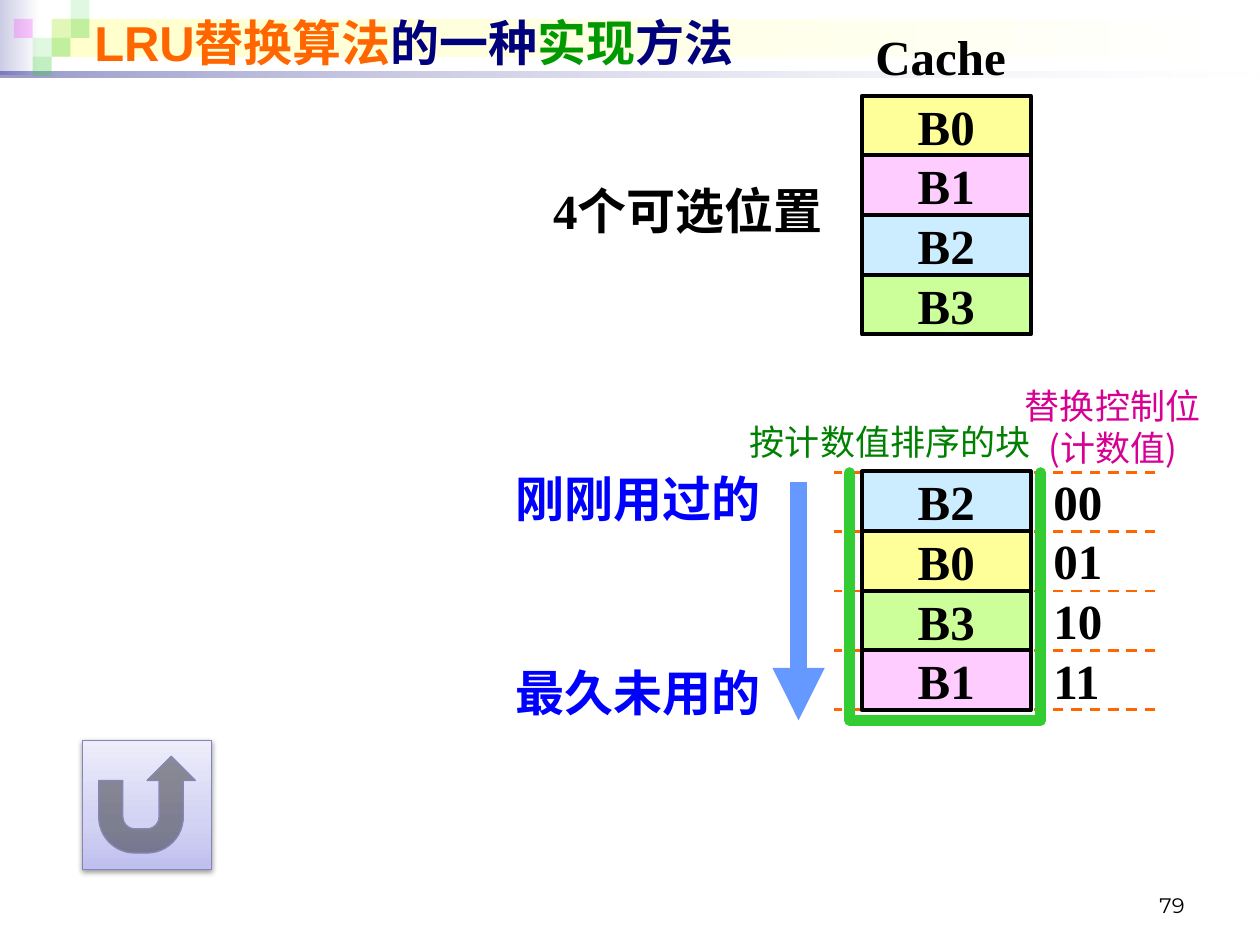
"""Build the slide on an implementation of the LRU replacement algorithm."""
from dataclasses import dataclass
from itertools import pairwise

from lxml import etree
from pptx import Presentation
from pptx.dml.color import RGBColor
from pptx.enum.dml import MSO_LINE
from pptx.enum.shapes import MSO_CONNECTOR, MSO_SHAPE
from pptx.enum.text import MSO_ANCHOR, PP_ALIGN
from pptx.oxml.ns import qn
from pptx.util import Pt

RECT = MSO_SHAPE.RECTANGLE
RETURN_BUTTON = MSO_SHAPE.ACTION_BUTTON_RETURN
STRAIGHT = MSO_CONNECTOR.STRAIGHT
DASH = MSO_LINE.DASH
LEFT, CENTER, RIGHT = PP_ALIGN.LEFT, PP_ALIGN.CENTER, PP_ALIGN.RIGHT
TOP, MIDDLE, BOTTOM = MSO_ANCHOR.TOP, MSO_ANCHOR.MIDDLE, MSO_ANCHOR.BOTTOM


@dataclass(frozen=True)
class Theme:
    heading: str = "Arial"
    serif: str = "Times New Roman"
    chinese: str = "Noto Sans CJK SC"
    number: str = "Montserrat"
    large: int = 28
    label: int = 20
    small: int = 12
    black: str = "000000"
    white: str = "FFFFFF"
    navy: str = "00007D"
    orange: str = "FF6600"
    title_green: str = "009900"
    bright_green: str = "33CC33"
    label_green: str = "008000"
    magenta: str = "FF00FF"
    label_pink: str = "D60093"
    blue: str = "0000FF"
    arrow: str = "6699FF"
    cream: str = "FFFFCC"
    lavender: str = "CCCCE6"
    button_edge: str = "8686B6"
    button_stops: tuple = ((0, "BFBFF0", 100), (35, "D2D2F3", 100), (100, "EDEDFB", 100))


THEME = Theme()
BLOCK_COLOURS = {"B0": "FFFF99", "B1": "FFCCFF", "B2": "CCECFF", "B3": "CCFF99"}
BLOCK_LEFT, BLOCK_WIDTH, BLOCK_HEIGHT = 492.5, 96.5, 34.1
CACHE_TOP, SORTED_TOP = 54.7, 269.4


def points(*values):
    """Turn numbers into point lengths."""
    return [Pt(value) for value in values]


def add_alpha(colour, percent):
    """Make a colour element partly transparent."""
    etree.SubElement(colour, qn("a:alpha"), val=str(percent * 1000))


def style_font(font, name, size, colour=None, bold=False):
    """Set the Latin and Chinese typeface, size, weight and colour."""
    font.name, font.size, font.bold = name, Pt(size), bold
    if colour:
        font.color.rgb = RGBColor.from_string(colour)
    etree.SubElement(font._rPr, qn("a:ea"), typeface=THEME.chinese)


def add_shape(page, kind, place, edge=None, edge_width=1):
    """Add a preset shape without shadow."""
    shape = page.shapes.add_shape(kind, *points(*place))
    shape.shadow.inherit = False
    if edge:
        shape.line.color.rgb = RGBColor.from_string(edge)
        shape.line.width = Pt(edge_width)
    else:
        shape.line.fill.background()
    return shape


def fill_solid(shape, colour, percent=100):
    """Fill a shape with one colour."""
    shape.fill.solid()
    shape.fill.fore_color.rgb = RGBColor.from_string(colour)
    if percent < 100:
        add_alpha(shape._element.spPr.find(f"{qn('a:solidFill')}/{qn('a:srgbClr')}"), percent)


def fill_gradient(shape, stops, angle=0):
    """Fill a shape with stops of position, colour and opacity."""
    shape.fill.gradient()
    shape.fill.gradient_angle = angle
    stop_list = shape._element.spPr.find(f".//{qn('a:gsLst')}")
    for old_stop in list(stop_list):
        stop_list.remove(old_stop)
    for position, colour, percent in stops:
        stop = etree.SubElement(stop_list, qn("a:gs"), pos=str(position * 1000))
        tint = etree.SubElement(stop, qn("a:srgbClr"), val=colour)
        if percent < 100:
            add_alpha(tint, percent)


def add_text(page, place, lines, colour=THEME.black, font=THEME.serif, size=THEME.large,
             bold=True, align=LEFT, anchor=TOP, wrap=False):
    """Add a text box with one paragraph per line."""
    box = page.shapes.add_textbox(*points(*place))
    frame = box.text_frame
    frame.text = "\n".join(lines)
    frame.word_wrap, frame.vertical_anchor = wrap, anchor
    for para in frame.paragraphs:
        para.alignment = align
        style_font(para.font, font, size, colour, bold)


def add_line(page, start, end, colour, width):
    """Add a straight line without shadow."""
    line = page.shapes.add_connector(STRAIGHT, *points(*start, *end))
    line.line.color.rgb = RGBColor.from_string(colour)
    line.line.width = Pt(width)
    etree.SubElement(line._element.spPr, qn("a:effectLst"))
    return line


def add_header(page):
    """Add the decorated band and the title."""
    bands = [
        ((0, 0, 22.5, 43), THEME.lavender, 100, 100),
        ((29.5, 10.8, 687.5, 21.6), THEME.cream, 100, 100),
        ((0, 41, 720, 3.6), THEME.navy, 40, 10),
    ]
    for place, colour, first, last in bands:
        band = add_shape(page, RECT, place)
        fill_gradient(band, [(0, colour, first), (100, THEME.white, last)])
    tiles = [(2, 1, 15), (3, 0, 15), (3, 1, 30), (1, 2, 15), (0, 1, 20), (2, 2, 30), (1, 3, 30)]
    side = 10.8
    for column, row, percent in tiles:
        tile = add_shape(page, RECT, (7.9 + column * side, row * side, side, side))
        fill_solid(tile, THEME.bright_green if column else THEME.magenta, percent)

    box = page.shapes.add_textbox(*points(46.8, 3.6, 648, 41))
    frame = box.text_frame
    frame.word_wrap, frame.vertical_anchor = True, MIDDLE
    para = frame.paragraphs[0]
    style_font(para.font, THEME.heading, THEME.large, bold=True)
    for text, colour in [("LRU替换算法", THEME.orange), ("的一种", THEME.navy),
                         ("实现", THEME.title_green), ("方法", THEME.navy)]:
        span = para.add_run()
        span.text = text
        span.font.color.rgb = RGBColor.from_string(colour)


def add_blocks(page, top, names):
    """Stack cache blocks downwards from the given top."""
    for row, name in enumerate(names):
        place = (BLOCK_LEFT, top + row * BLOCK_HEIGHT, BLOCK_WIDTH, BLOCK_HEIGHT)
        block = add_shape(page, RECT, place, THEME.black, 2.25)
        fill_solid(block, BLOCK_COLOURS[name])
        frame = block.text_frame
        frame.text = name
        frame.word_wrap, frame.vertical_anchor = False, MIDDLE
        para = frame.paragraphs[0]
        para.alignment = CENTER
        style_font(para.font, THEME.serif, THEME.large, THEME.black, True)


def add_sorted_blocks(page):
    """Add the blocks in order of use with their counters and bracket."""
    for row in range(5):
        height = 270 + row * 33.9
        add_line(page, (660.2, height), (476.6, height), THEME.orange, 1.5).line.dash_style = DASH
    add_blocks(page, SORTED_TOP, ["B2", "B0", "B3", "B1"])
    corners = [(485.5, 270), (485.5, 411.6), (594.7, 411.6), (594.7, 270)]
    for start, end in pairwise(corners):
        side = add_line(page, start, end, THEME.bright_green, 6)
        side.line._get_or_add_ln().set("cap", "rnd")
    for row, counter in enumerate(["00", "01", "10", "11"]):
        place = (594.7, 265.7 + row * BLOCK_HEIGHT, 42.5 if row < 3 else 41, 41)
        add_text(page, place, [counter], align=CENTER)


def add_use_arrow(page):
    """Add the arrow from the newest to the oldest block."""
    arrow = add_line(page, (456.3, 275.5), (456.3, 411.6), THEME.arrow, 10)
    etree.SubElement(arrow.line._get_or_add_ln(), qn("a:tailEnd"), type="triangle")
    for top, text in [(264.2, "刚刚用过的"), (375.3, "最久未用的")]:
        add_text(page, (287.5, top, 156.5, 41), [text], THEME.blue)


def add_return_button(page):
    """Add the shaded return button."""
    button = add_shape(page, RETURN_BUTTON, (47.2, 423, 73.7, 73.7), THEME.button_edge, 0.75)
    fill_gradient(button, THEME.button_stops, 90)
    effects = button._element.spPr.find(qn("a:effectLst"))
    shadow = etree.SubElement(effects, qn("a:outerShdw"), blurRad=str(Pt(3.1)),
                              dist=str(Pt(1.6)), dir="5400000", rotWithShape="0")
    add_alpha(etree.SubElement(shadow, qn("a:srgbClr"), val=THEME.black), 38)


def main():
    """Build and save the deck."""
    deck = Presentation()
    deck.slide_width, deck.slide_height = points(720, 540)
    page = deck.slides.add_slide(deck.slide_layouts[6])
    add_header(page)
    add_text(page, (516.2, 491.8, 167.8, 36), ["79"], font=THEME.number, size=THEME.small,
             bold=False, align=RIGHT, anchor=BOTTOM, wrap=True)
    add_sorted_blocks(page)
    add_blocks(page, CACHE_TOP, ["B0", "B1", "B2", "B3"])
    add_text(page, (492.5, 11.5, 90, 41), ["Cache"], align=CENTER)
    add_text(page, (309, 99.4, 170.6, 41), ["4个可选位置"], wrap=True)
    add_use_arrow(page)
    for place, lines, colour in [
        ((578.2, 216, 115.2, 55.4), ["替换控制位", "(计数值)"], THEME.label_pink),
        ((420.5, 236.9, 176.4, 31.7), ["按计数值排序的块"], THEME.label_green),
    ]:
        add_text(page, place, lines, colour, THEME.chinese, THEME.label, False, CENTER)
    add_return_button(page)
    deck.save("out.pptx")


if __name__ == "__main__":
    main()
